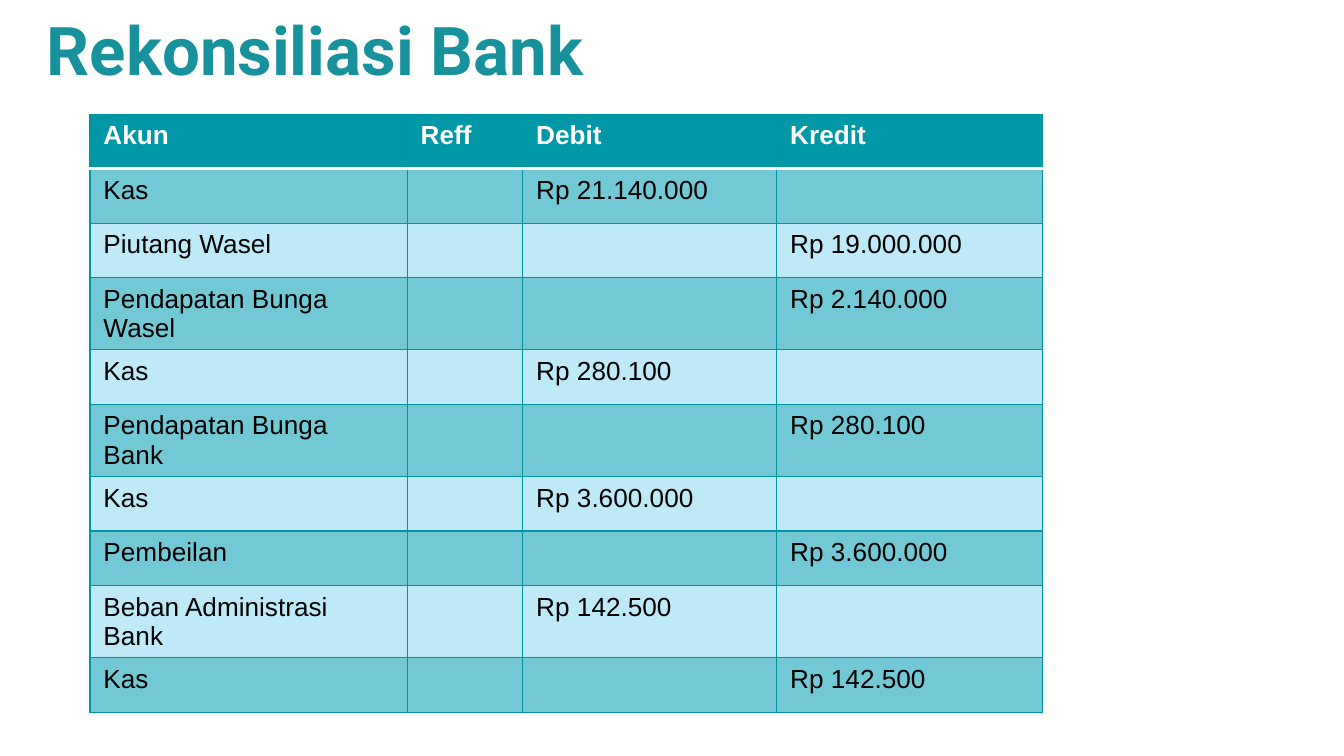
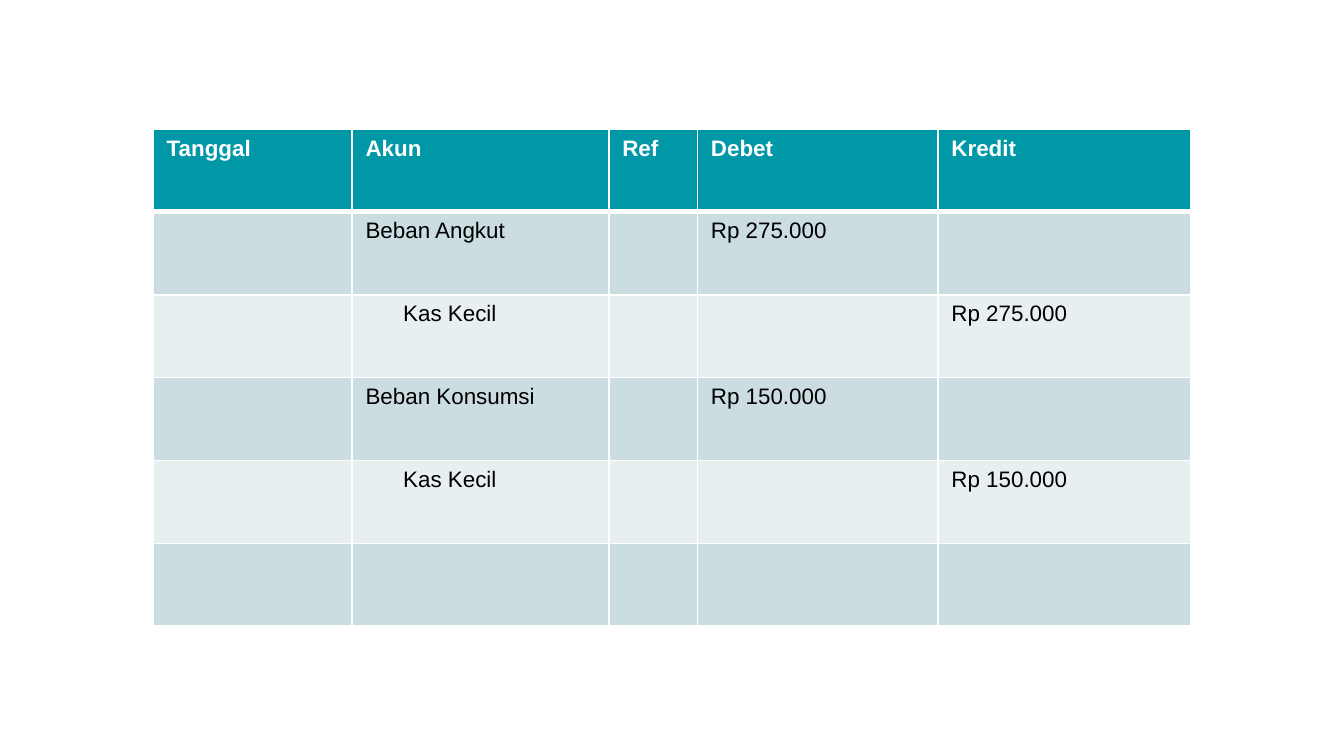
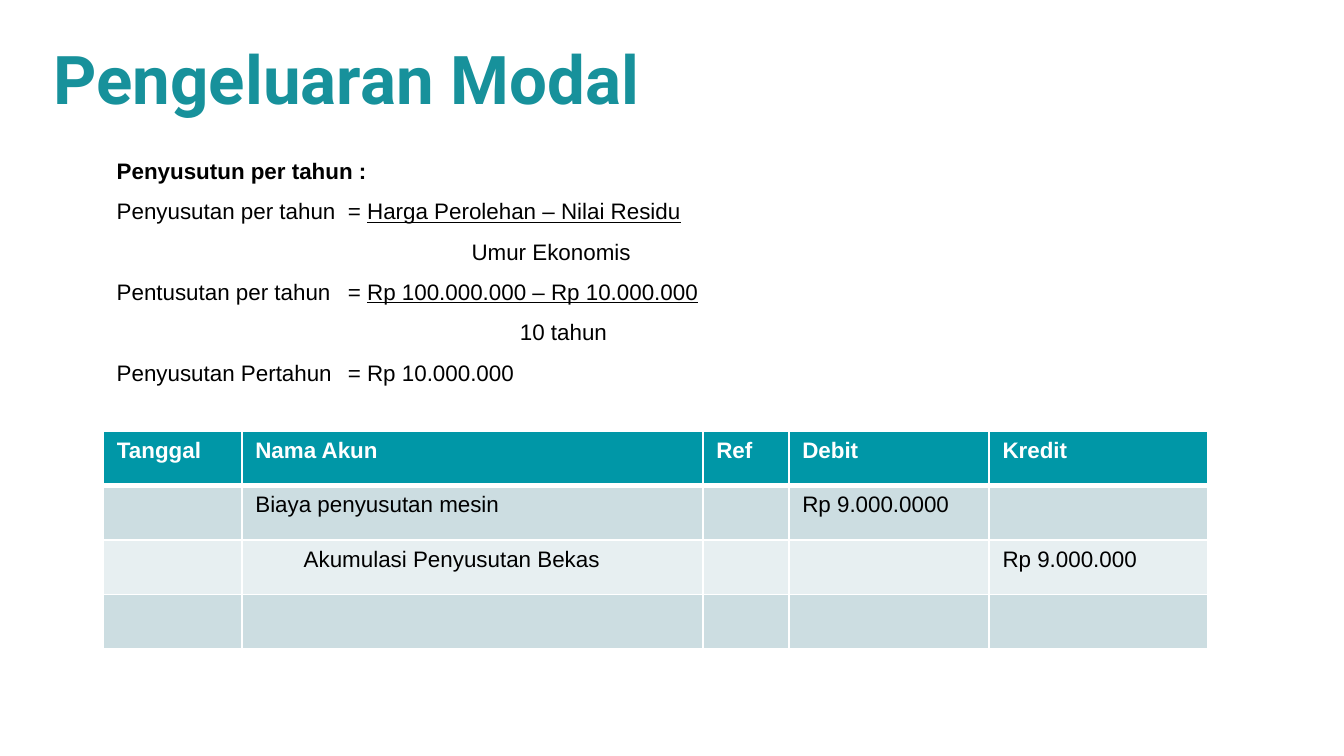
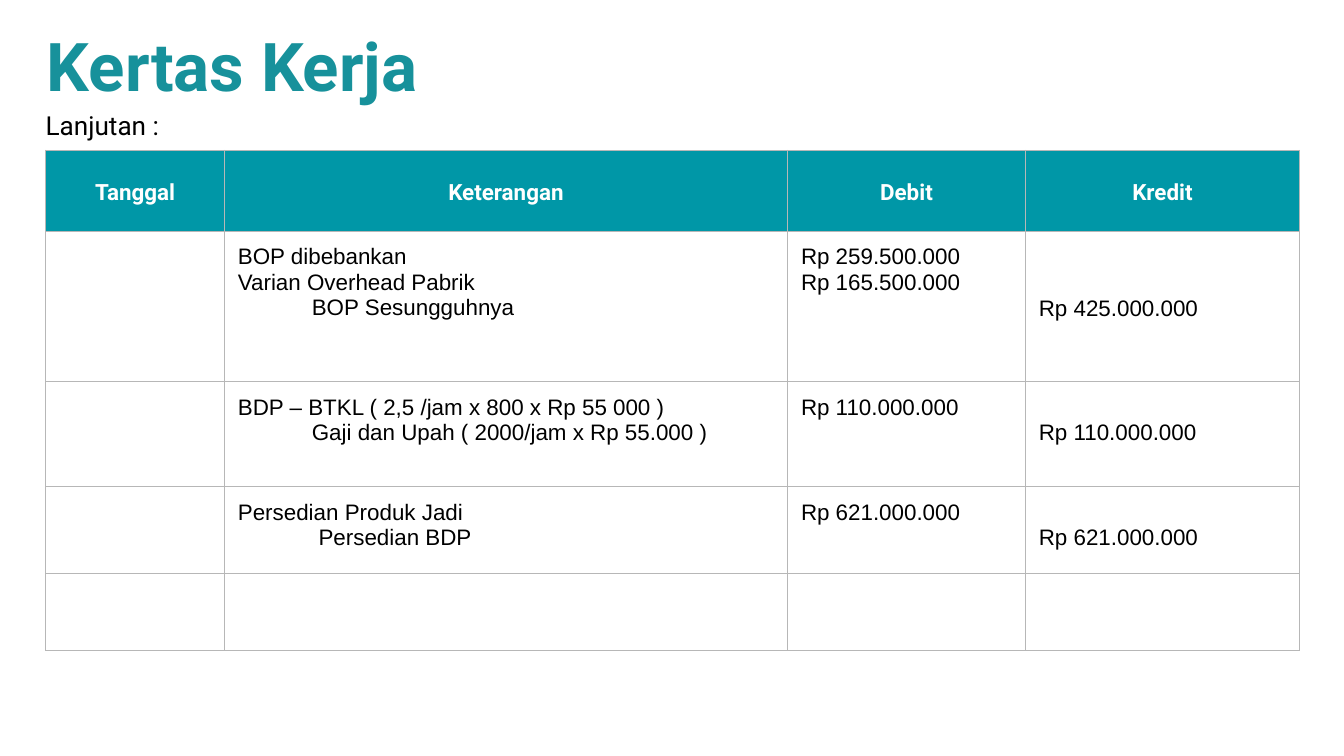
"""Build four accounting slides with journal tables."""
from dataclasses import dataclass
from typing import NamedTuple, Optional, Union

import pptx
import pptx.dml.color
import pptx.enum.text
import pptx.oxml
import pptx.oxml.ns
import pptx.util
from pptx.util import Inches

RGB = pptx.dml.color.RGBColor
PP = pptx.enum.text.PP_ALIGN
MID = pptx.enum.text.MSO_ANCHOR.MIDDLE


@dataclass(frozen=True)
class Theme:
    title: str = "17919B"
    head: str = "0097A7"
    line: str = "0094A3"
    gray: str = "B7B7B7"
    white: str = "FFFFFF"
    black: str = "000000"
    teal: tuple = ("72C9D5", "BEEAF7")
    mist: tuple = ("CCDDE1", "E7EFF1")
    sans: str = "Arial"
    show: str = "Roboto"
    big: int = 36
    mid: int = 14
    small: int = 12


THEME = Theme()


class Edge(NamedTuple):
    color: str
    width: float


class Entry(NamedTuple):
    text: str
    dent: float = 0
    drop: int = 0


@dataclass(frozen=True)
class Look:
    bands: tuple
    edge: Edge
    rule: Edge
    size: int = THEME.small
    font: str = THEME.sans
    pad: float = 0.05
    center: bool = False


@dataclass(frozen=True)
class Sheet:
    left: float
    top: float
    cols: tuple
    rows: tuple
    cells: tuple
    look: Look


LEDGER = Look(THEME.teal, Edge(THEME.line, 0.75), Edge(THEME.white, 2), THEME.mid)
BOOK = Look(THEME.mist, Edge(THEME.white, 1), Edge(THEME.white, 3))
GRID = Look((None,), Edge(THEME.gray, 0.75), Edge(THEME.gray, 0.75),
            font=THEME.show, pad=0.1, center=True)
STEP = 0.19

BANK = Sheet(0.67, 0.85, (2.36, 0.86, 1.89, 1.98), (4.05 / 10,) * 10, (
    ("Akun", "Reff", "Debit", "Kredit"),
    ("Kas", "", "Rp 21.140.000", ""),
    ("Piutang Wasel", "", "", "Rp 19.000.000"),
    ("Pendapatan Bunga Wasel", "", "", "Rp 2.140.000"),
    ("Kas", "", "Rp 280.100", ""),
    ("Pendapatan Bunga Bank", "", "", "Rp 280.100"),
    ("Kas", "", "Rp 3.600.000", ""),
    ("Pembeilan", "", "", "Rp 3.600.000"),
    ("Beban Administrasi Bank", "", "Rp 142.500", ""),
    ("Kas", "", "", "Rp 142.500"),
), LEDGER)

PETTY = Sheet(1.14, 0.96, (1.48, 1.91, 0.66, 1.79, 1.88), (3.7 / 6,) * 6, (
    ("Tanggal", "Akun", "Ref", "Debet", "Kredit"),
    ("", "Beban Angkut", "", "Rp 275.000", ""),
    ("", Entry("Kas Kecil", 0.28), "", "", "Rp 275.000"),
    ("", "Beban Konsumsi", "", "Rp 150.000", ""),
    ("", Entry("Kas Kecil", 0.28), "", "", "Rp 150.000"),
    ("",) * 5,
), BOOK)

ASSET = Sheet(0.77, 3.21, (1.03, 3.43, 0.64, 1.49, 1.63), (1.62 / 4,) * 4, (
    ("Tanggal", "Nama Akun", "Ref", "Debit", "Kredit"),
    ("", "Biaya penyusutan mesin", "", "Rp 9.000.0000", ""),
    ("", Entry("Akumulasi Penyusutan Bekas", 0.36), "", "", "Rp 9.000.000"),
    ("",) * 5,
), BOOK)

WORK = Sheet(0.34, 1.12, (1.33, 4.19, 1.77, 2.04), (0.6, 1.12, 0.78, 0.65, 0.57), (
    ("Tanggal", "Keterangan", "Debit", "Kredit"),
    ("", Entry("BOP dibebankan\nVarian Overhead Pabrik\nBOP Sesungguhnya", 0.55),
     "Rp 259.500.000\nRp 165.500.000", Entry("Rp 425.000.000", drop=2)),
    ("", Entry("BDP – BTKL ( 2,5 /jam x 800 x Rp 55 000 )\n"
               "Gaji dan Upah ( 2000/jam x Rp 55.000 )", 0.55),
     "Rp 110.000.000", Entry("Rp 110.000.000", drop=1)),
    ("", Entry("Persedian Produk Jadi\nPersedian BDP", 0.6),
     "Rp 621.000.000", Entry("Rp 621.000.000", drop=1)),
    ("",) * 4,
), GRID)


class Sum(NamedTuple):
    text: str
    under: str = ""
    dent: float = 0
    bold: bool = False


SUMS = (
    Sum("Penyusutun per tahun :", bold=True),
    Sum("Penyusutan per tahun\t= ", "Harga Perolehan – Nilai Residu"),
    Sum("Umur Ekonomis", dent=2.64),
    Sum("Pentusutan per tahun\t= ", "Rp 100.000.000 – Rp 10.000.000"),
    Sum("10 tahun", dent=3),
    Sum("Penyusutan Pertahun\t= Rp 10.000.000"),
)


def style(para, size: int, font: str, color: str, bold: bool = False) -> None:
    """Format every run of a paragraph."""
    for run in para.runs:
        run.font.size = pptx.util.Pt(size)
        run.font.name = font
        run.font.bold = bold
        run.font.color.rgb = RGB.from_string(color)


def indent(para, dent: float) -> None:
    """Set the left indent of a paragraph."""
    if dent:
        para._p.get_or_add_pPr().set("marL", str(Inches(dent)))


def frame(slide, box: tuple, pads: tuple):
    """Add a wrapping text box and return its text frame."""
    text = slide.shapes.add_textbox(*map(Inches, box)).text_frame
    text.word_wrap = True
    text.margin_left, text.margin_top, text.margin_right, text.margin_bottom = map(Inches, pads)
    return text


def title(slide, text: str, left: float, top: float) -> None:
    """Add the slide title."""
    body = frame(slide, (left, top, 9.67 - left, 0.62), (0.01, 0.02, 0, 0))
    body.text = text
    style(body.paragraphs[0], THEME.big, THEME.show, THEME.title, True)


def border(cell, side: str, edge: Edge) -> None:
    """Draw one border of a cell."""
    width = pptx.util.Pt(edge.width)
    cell._tc.get_or_add_tcPr().append(pptx.oxml.parse_xml(
        f'<a:ln{side} {pptx.oxml.ns.nsdecls("a")} w="{width}"><a:solidFill>'
        f'<a:srgbClr val="{edge.color}"/></a:solidFill></a:ln{side}>'))


def paint(cell, color: Optional[str]) -> None:
    """Fill a cell, or leave it clear."""
    if color:
        cell.fill.solid()
        cell.fill.fore_color.rgb = RGB.from_string(color)
    else:
        cell.fill.background()


def write(cell, item: Union[str, Entry], look: Look, head: bool) -> None:
    """Put the text of an entry in a cell."""
    entry = Entry(item) if isinstance(item, str) else item
    cell.margin_top = Inches(look.pad + entry.drop * STEP)
    cell.margin_bottom = Inches(look.pad)
    cell.text_frame.text = entry.text
    paras = cell.text_frame.paragraphs
    indent(paras[-1], entry.dent)
    for para in paras:
        if head and look.center:
            cell.vertical_anchor = MID
            para.alignment = PP.CENTER
            para.line_spacing = 1.15
        style(para, look.size, look.font if head else THEME.sans,
              THEME.white if head else THEME.black, head)


def table(slide, sheet: Sheet) -> None:
    """Draw a journal table."""
    look = sheet.look
    grid = slide.shapes.add_table(
        len(sheet.rows), len(sheet.cols), Inches(sheet.left), Inches(sheet.top),
        Inches(sum(sheet.cols)), Inches(sum(sheet.rows))).table
    grid.horz_banding = False
    for col, width in zip(grid.columns, sheet.cols):
        col.width = Inches(width)
    for row, (line, high) in enumerate(zip(sheet.cells, sheet.rows)):
        grid.rows[row].height = Inches(high)
        edges = {"L": look.edge, "R": look.edge,
                 "T": look.rule if row == 1 else look.edge,
                 "B": look.rule if row == 0 else look.edge}
        for col, item in enumerate(line):
            cell = grid.cell(row, col)
            for side, edge in edges.items():
                border(cell, side, edge)
            paint(cell, look.bands[(row - 1) % len(look.bands)] if row else THEME.head)
            write(cell, item, look, row == 0)


def sums(slide) -> None:
    """Write the yearly depreciation formula."""
    body = frame(slide, (0.77, 1.02, 4.57, 1.88), (0.1, 0.05, 0.1, 0.05))
    body.text = "\n".join(item.text for item in SUMS)
    for para, item in zip(body.paragraphs, SUMS):
        indent(para, item.dent)
        if "\t" in item.text:
            para._p.get_or_add_pPr().append(pptx.oxml.parse_xml(
                f'<a:tabLst {pptx.oxml.ns.nsdecls("a")}>'
                f'<a:tab pos="{Inches(1.72)}" algn="l"/></a:tabLst>'))
        para.line_spacing = 1.5
        if item.under:
            run = para.add_run()
            run.text = item.under
            run.font.underline = True
        style(para, THEME.small, THEME.sans, THEME.black, item.bold)


def note(slide) -> None:
    """Add the continuation label."""
    body = frame(slide, (0.24, 0.68, 8.81, 0.39), (0.1,) * 4)
    body.text = "Lanjutan :"
    body.paragraphs[0].line_spacing = 1.15
    style(body.paragraphs[0], THEME.mid, THEME.show, THEME.black)


def main() -> None:
    """Build and save the deck."""
    deck = pptx.Presentation()
    deck.slide_width = Inches(10)
    deck.slide_height = Inches(10 * 9 / 16)
    bank, petty, asset, work = (
        deck.slides.add_slide(deck.slide_layouts[6]) for _ in range(4))
    table(bank, BANK)
    title(bank, "Rekonsiliasi Bank", 0.34, 0.04)
    table(petty, PETTY)
    sums(asset)
    table(asset, ASSET)
    title(asset, "Pengeluaran Modal", 0.39, 0.26)
    table(work, WORK)
    title(work, "Kertas Kerja", 0.34, 0.16)
    note(work)
    deck.save("out.pptx")


if __name__ == "__main__":
    main()
